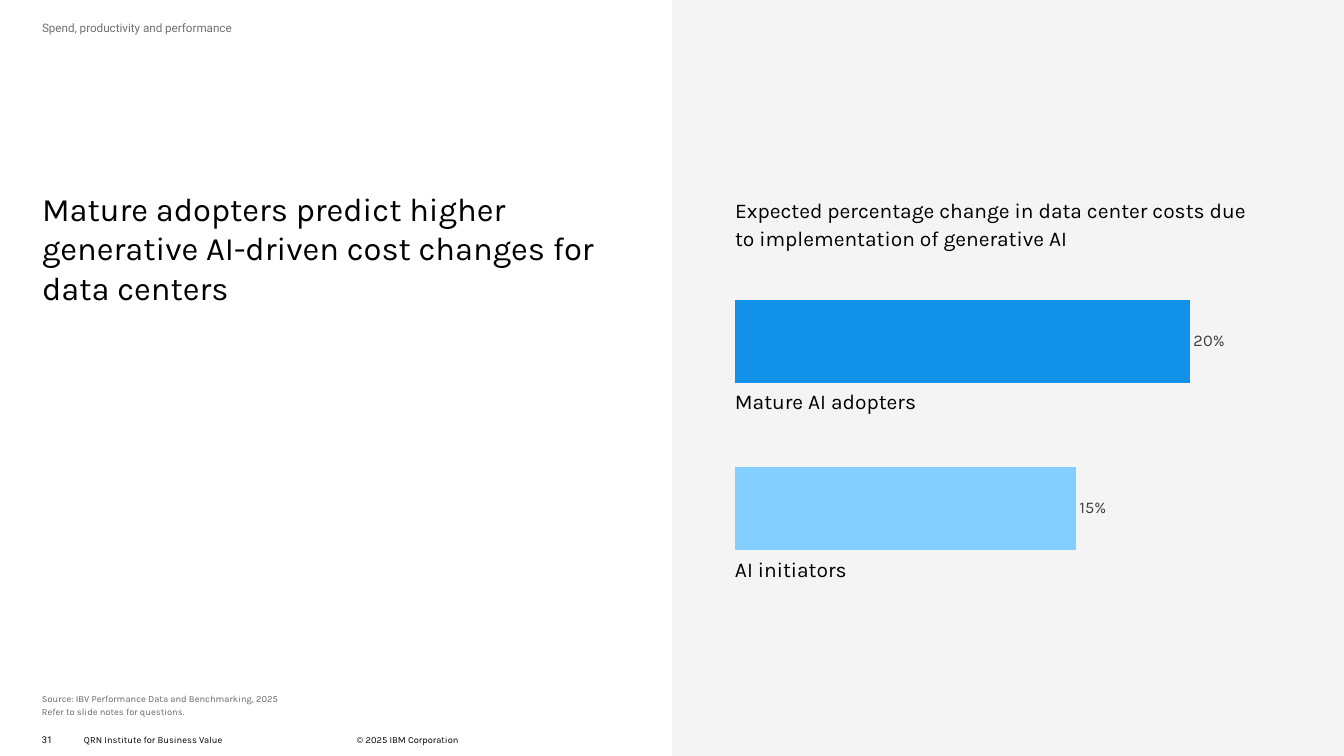
from pptx import Presentation
from pptx.chart.data import CategoryChartData
from pptx.dml.color import RGBColor
from pptx.enum.chart import XL_CHART_TYPE, XL_LABEL_POSITION
from pptx.enum.shapes import MSO_SHAPE
from pptx.enum.text import MSO_ANCHOR, MSO_AUTO_SIZE, PP_ALIGN
from pptx.oxml import parse_xml
from pptx.oxml.ns import nsdecls
from pptx.util import Emu, Pt

PIXELS_PER_INCH = 84
BLACK = RGBColor(0x00, 0x00, 0x00)
SOURCE_GRAY = RGBColor(0x66, 0x66, 0x66)
TOPIC_GRAY = RGBColor(0x6F, 0x6F, 0x6F)
VALUE_GRAY = RGBColor(0x40, 0x40, 0x40)
PANEL_GRAY = RGBColor(0xF4, 0xF4, 0xF4)
LIGHT_BLUE = RGBColor(0x82, 0xCF, 0xFF)
BLUE = RGBColor(0x11, 0x92, 0xE8)


def px(length):
    """Turn whole pixels into EMU."""
    return Emu(round(length * 914400 / PIXELS_PER_INCH))


def fill_text(box, lines, size, font="Karla", color=BLACK, anchor=MSO_ANCHOR.TOP, spacing=1.0):
    """Write left-aligned lines into a box without margins."""
    frame = box.text_frame
    frame.word_wrap = True
    frame.auto_size = MSO_AUTO_SIZE.NONE
    frame.vertical_anchor = anchor
    frame.margin_left = frame.margin_right = frame.margin_top = frame.margin_bottom = 0
    for index, line in enumerate(lines):
        para = frame.add_paragraph() if index else frame.paragraphs[0]
        para.alignment = PP_ALIGN.LEFT
        para.line_spacing = spacing
        span = para.add_run()
        span.text = line
        span.font.size = Pt(size)
        span.font.name = font
        span.font.color.rgb = color


def add_text(page, left, top, width, height, lines, size, **style):
    """Add a text box."""
    box = page.shapes.add_textbox(px(left), px(top), px(width), px(height))
    fill_text(box, lines, size, **style)


def add_panel(page, left, top, width, height):
    """Add the gray panel behind the chart."""
    panel = page.shapes.add_shape(MSO_SHAPE.RECTANGLE, px(left), px(top), px(width), px(height))
    panel.shadow.inherit = False
    panel.fill.solid()
    panel.fill.fore_color.rgb = PANEL_GRAY
    panel.line.fill.background()


def set_title(page, left, top, width, height, text):
    """Place and write the title."""
    title = page.shapes.title
    title.left, title.top, title.width, title.height = px(left), px(top), px(width), px(height)
    fill_text(title, [text], 28)


def set_plot_layout(chart, left, top, width, height):
    """Fix the inner plot area as fractions of the chart."""
    plot_area = chart._chartSpace.chart.plotArea
    for layout in plot_area.findall("{*}layout"):
        plot_area.remove(layout)
    places = "".join(
        f'<c:{name} val="{value}"/>'
        for name, value in (("x", left), ("y", top), ("w", width), ("h", height))
    )
    plot_area.insert(0, parse_xml(
        f'<c:layout {nsdecls("c")}><c:manualLayout><c:layoutTarget val="inner"/>'
        f'<c:xMode val="edge"/><c:yMode val="edge"/>{places}</c:manualLayout></c:layout>'
    ))


def add_cost_chart(page, left, top, width, height):
    """Add the bar chart of expected cost changes."""
    data = CategoryChartData(number_format="0.00%")
    data.categories = ["1", "2"]
    data.add_series("Series 1", [0.15, 0.2])
    chart = page.shapes.add_chart(
        XL_CHART_TYPE.BAR_CLUSTERED, px(left), px(top), px(width), px(height), data
    ).chart
    chart.has_legend = False
    chart.has_title = False
    chart.font.size = Pt(20)
    chart.font.name = "Karla"
    chart.font.color.rgb = BLACK
    chart.value_axis.minimum_scale = 0
    chart.value_axis.maximum_scale = 0.25
    chart.value_axis.has_major_gridlines = False
    chart.value_axis.visible = False
    chart.category_axis.visible = False
    set_plot_layout(chart, 0.04, 0.03, 0.94, 0.9)

    plot = chart.plots[0]
    plot.gap_width = 100
    plot.vary_by_categories = False
    series = plot.series[0]
    for index, color in enumerate((LIGHT_BLUE, BLUE)):
        bar = series.points[index].format
        bar.fill.solid()
        bar.fill.fore_color.rgb = color
    labels = series.data_labels
    labels.show_value = True
    labels.position = XL_LABEL_POSITION.OUTSIDE_END
    labels.number_format = "0%"
    labels.number_format_is_linked = False
    labels.font.size = Pt(14)
    labels.font.name = "Karla"
    labels.font.color.rgb = VALUE_GRAY


def main():
    """Build and save the slide."""
    deck = Presentation()
    deck.slide_width, deck.slide_height = px(1344), px(756)
    page = deck.slides.add_slide(deck.slide_layouts[5])

    add_panel(page, 672, 0, 672, 756)
    set_title(page, 42, 189, 605, 105,
              "Mature adopters predict higher generative AI-driven cost changes for data centers")
    add_text(page, 42, 21, 609, 21, ["Spend, productivity and performance"], 10,
             font="Roboto", color=TOPIC_GRAY)
    add_text(page, 42, 675, 613, 42,
             ["Source: IBV Performance Data and Benchmarking, 2025",
              "Refer to slide notes for questions."],
             8, color=SOURCE_GRAY, anchor=MSO_ANCHOR.BOTTOM, spacing=1.1)

    add_text(page, 42, 733, 42, 23, ["31"], 8, font="Roboto", spacing=1.1)
    for left, text in ((84, "QRN Institute for Business Value"), (357, "© 2025 IBM Corporation")):
        add_text(page, left, 730, 210, 20, [text], 8, anchor=MSO_ANCHOR.MIDDLE)

    add_cost_chart(page, 711, 247, 605, 371)
    for row, group in enumerate(("Mature AI adopters", "AI initiators")):
        add_text(page, 735, 389 + 168 * row, 496, 26, [group], 18)
    add_text(page, 735, 195, 525, 64,
             ["Expected percentage change in data center costs due to implementation of generative AI"],
             18, spacing=1.1)

    deck.save("out.pptx")


if __name__ == "__main__":
    main()
